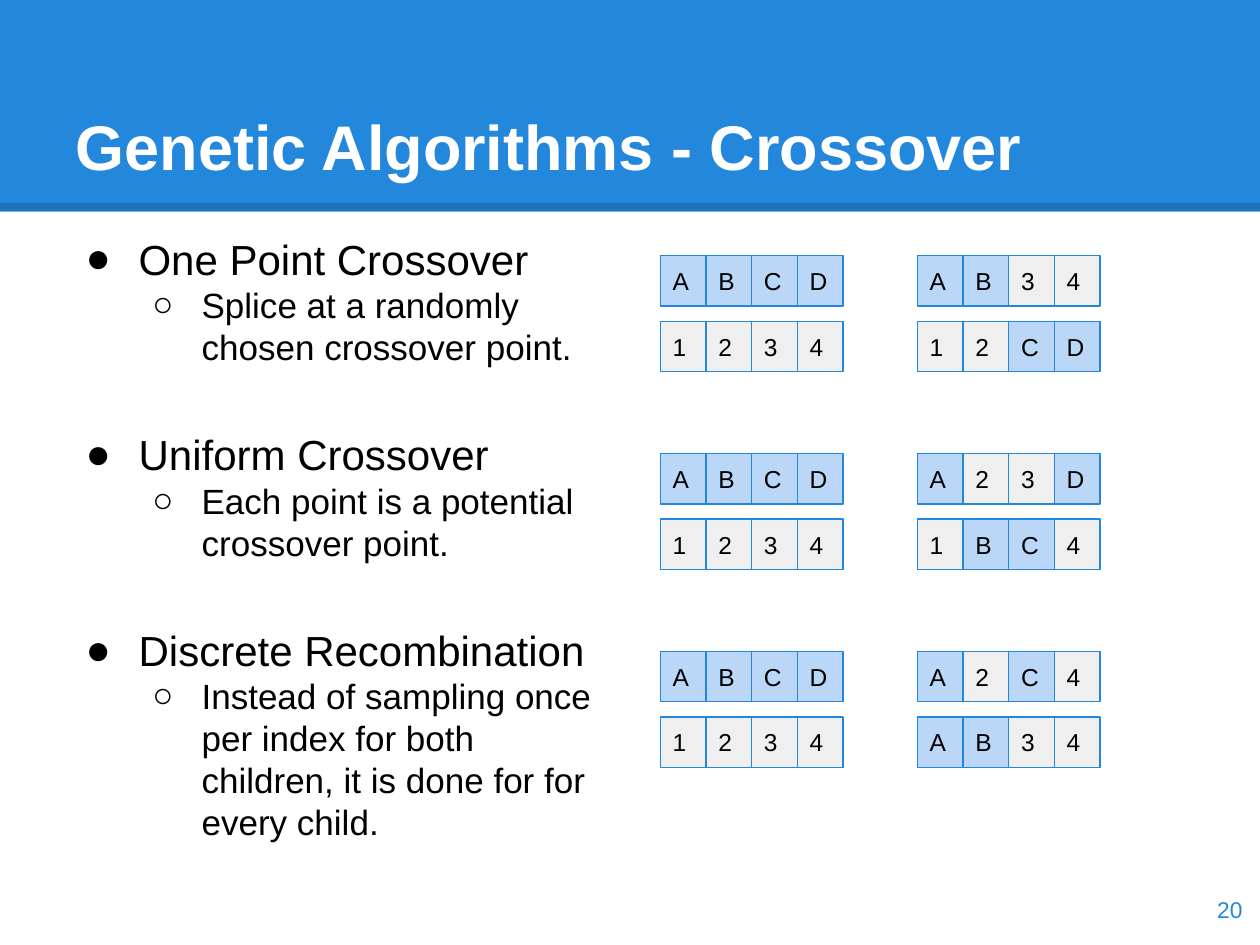
from lxml.etree import SubElement
from pptx import Presentation
from pptx.dml.color import RGBColor
from pptx.enum.shapes import MSO_CONNECTOR, MSO_SHAPE
from pptx.enum.text import MSO_ANCHOR as ANCHOR, MSO_AUTO_SIZE, PP_ALIGN as ALIGN
from pptx.oxml.ns import qn
from pptx.util import Inches, Pt

TITLE = "Genetic Algorithms - Crossover"
# heading, explanation, the two children
METHODS = [
    ("One Point Crossover", "Splice at a randomly chosen crossover point.",
     ("AB34", "12CD")),
    ("Uniform Crossover", "Each point is a potential crossover point.",
     ("A23D", "1BC4")),
    ("Discrete Recombination",
     "Instead of sampling once per index for both children, "
     "it is done for for every child.",
     ("A2C4", "AB34")),
]
PARENTS = ("ABCD", "1234")
PAGE = "20"

BLUE, LETTER_FILL, DIGIT_FILL = "2388DB", "BBD7F8", "EFEFEF"
BLACK, WHITE = "000000", "FFFFFF"
PARENT_X, CHILD_X = 5.24, 7.28
TOP, METHOD_STEP, ROW_STEP = 2.03, 1.57, 0.52
CELL_W, CELL_H = 1.45 / 4, 0.4


def rgb(value):
    return RGBColor.from_string(value)


def box(*lengths):
    return [Inches(n) for n in lengths]


def place(sp, *lengths):
    sp.left, sp.top, sp.width, sp.height = box(*lengths)


def set_frame(tf, anchor):
    tf.word_wrap = True
    tf.auto_size = MSO_AUTO_SIZE.NONE
    tf.vertical_anchor = anchor
    tf.margin_left = tf.margin_right = Inches(0.1)
    tf.margin_top = tf.margin_bottom = Inches(0.1)


def add_run(p, text, size, color=BLACK, bold=False, align=ALIGN.LEFT):
    p.alignment = align
    r = p.add_run()
    r.text = text
    r.font.name = "Arial"
    r.font.size = Pt(size)
    r.font.bold = bold
    r.font.color.rgb = rgb(color)


def add_rect(s, fill, *lengths):
    sp = s.shapes.add_shape(MSO_SHAPE.RECTANGLE, *box(*lengths))
    sp.shadow.inherit = False
    sp.fill.solid()
    sp.fill.fore_color.rgb = rgb(fill)
    return sp


def add_bullet(p, char, left, hanging):
    pPr = p._p.get_or_add_pPr()
    pPr.set("marL", str(Inches(left)))
    pPr.set("indent", str(-Inches(hanging)))
    color = SubElement(pPr, qn("a:buClr"))
    SubElement(color, qn("a:srgbClr"), val=BLACK)
    SubElement(pPr, qn("a:buFont"), typeface="Arial")
    SubElement(pPr, qn("a:buChar"), char=char)


def add_band(s):
    """Header band with a translucent dark edge, behind everything else."""
    band = add_rect(s, BLUE, 0, 0, 10, 1.68)
    band.line.fill.background()
    edge = s.shapes.add_connector(MSO_CONNECTOR.STRAIGHT, *box(0, 1.64, 10, 1.64))
    edge.line.width = Pt(4.5)
    edge.line.color.rgb = rgb(BLACK)
    color = edge._element.spPr.find(".//" + qn("a:srgbClr"))
    SubElement(color, qn("a:alpha"), val="15000")
    SubElement(edge._element.spPr, qn("a:effectLst"))
    for i, sp in enumerate((band, edge)):
        s.shapes._spTree.insert(2 + i, sp._element)


def add_methods(tf):
    for i, (heading, detail, _) in enumerate(METHODS):
        p = tf.add_paragraph() if i else tf.paragraphs[0]
        add_bullet(p, "●", 0.5, 0.42)
        p.space_before = Pt(35 if i else 0)
        add_run(p, heading, 24)
        p = tf.add_paragraph()
        p.level = 1
        add_bullet(p, "○", 1, 0.39)
        p.space_before = Pt(0)
        add_run(p, detail, 20)


def add_genomes(s, genomes, left, top):
    for row, genome in enumerate(genomes):
        for col, gene in enumerate(genome):
            sp = add_rect(s, LETTER_FILL if gene.isalpha() else DIGIT_FILL,
                          left + col * CELL_W, top + row * ROW_STEP, CELL_W, CELL_H)
            sp.line.color.rgb = rgb(BLUE)
            sp.line.width = Pt(0.75)
            set_frame(sp.text_frame, ANCHOR.MIDDLE)
            add_run(sp.text_frame.paragraphs[0], gene, 14)


def main():
    prs = Presentation()
    prs.slide_width, prs.slide_height = box(10, 7.5)
    s = prs.slides.add_slide(prs.slide_layouts[1])
    add_band(s)

    title, body = s.placeholders
    place(title, 0.5, 0.3, 9, 1.25)
    set_frame(title.text_frame, ANCHOR.BOTTOM)
    add_run(title.text_frame.paragraphs[0], TITLE, 36, WHITE, bold=True)

    place(body, 0.5, 1.75, 4.37, 5.43)
    set_frame(body.text_frame, ANCHOR.TOP)
    add_methods(body.text_frame)

    for i, (_, _, children) in enumerate(METHODS):
        top = TOP + i * METHOD_STEP
        add_genomes(s, PARENTS, PARENT_X, top)
        add_genomes(s, children, CHILD_X, top)

    tf = s.shapes.add_textbox(*box(9.36, 6.93, 0.6, 0.57)).text_frame
    set_frame(tf, ANCHOR.MIDDLE)
    add_run(tf.paragraphs[0], PAGE, 13, BLUE, align=ALIGN.RIGHT)

    prs.save("out.pptx")


if __name__ == "__main__":
    main()
